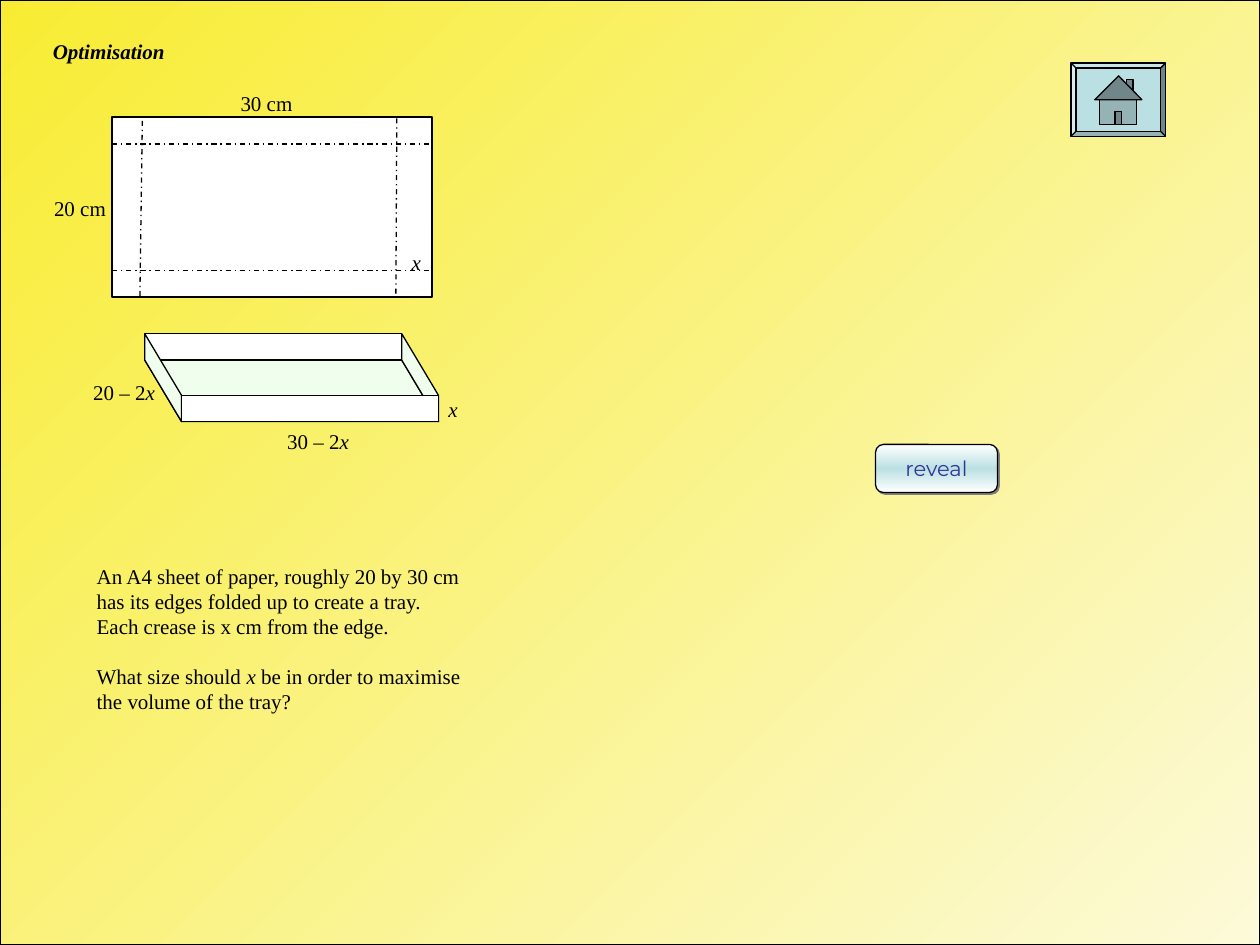
import pptx
import pptx.util
from lxml import etree
from pptx.dml.color import RGBColor
from pptx.enum.dml import MSO_LINE
from pptx.enum.shapes import MSO_CONNECTOR, MSO_SHAPE
from pptx.enum.text import MSO_ANCHOR, PP_ALIGN
from pptx.oxml.ns import qn

Cm, Pt = pptx.util.Cm, pptx.util.Pt
COLORS = {
    "ink": "000000", "paper": "FFFFFF", "mint": "F0FEED", "cream": "FCFAD9",
    "yellow": "F8EC32", "button": "BBE0E3", "dark": "708688", "mid": "95B3B5",
    "shadow": "808080", "navy": "333399",
}
C = {name: RGBColor.from_string(value) for name, value in COLORS.items()}


def add_shape(shapes, outline, fill, kind=MSO_SHAPE.RECTANGLE):
    """Add a preset from (x, y, w, h), or a polygon from a list of points, in cm."""
    if isinstance(outline, list):
        points = [(Cm(x), Cm(y)) for x, y in outline]
        builder = shapes.build_freeform(*points[0])
        builder.add_line_segments(points[1:], close=True)
        sp = builder.convert_to_shape()
    else:
        sp = shapes.add_shape(kind, *[Cm(v) for v in outline])
    sp.shadow.inherit = False
    sp.fill.solid()
    sp.fill.fore_color.rgb = C[fill]
    sp.line.color.rgb = C["ink"]
    sp.line.width = Pt(0.75)
    return sp


def write(p, runs, color="ink", **extra):
    """Fill a paragraph with runs; a run that is just "x" is italic."""
    for text in runs:
        r = p.add_run()
        r.text = text
        font = {"name": "Times New Roman", "size": Pt(12), "bold": False,
                "italic": text == "x", **extra}
        for key, value in font.items():
            setattr(r.font, key, value)
        r.font.color.rgb = C[color]


prs = pptx.Presentation()
prs.slide_width, prs.slide_height = Cm(25.4), Cm(19.05)
s = prs.slides.add_slide(prs.slide_layouts[5])

# Background, behind the title
bg = add_shape(s.shapes, (0, 0, 25.4, 19.05), "yellow")
bg.fill.gradient()
bg.fill.gradient_angle = 135
for stop, name in zip(bg.fill.gradient_stops, ("cream", "yellow")):
    stop.color.rgb = C[name]
title = s.shapes.title
title.element.addprevious(bg.element)

# Title
title.left, title.top, title.width, title.height = Cm(0.81), Cm(0.64), Cm(3.15), Cm(0.76)
tf = title.text_frame
tf.vertical_anchor, tf.word_wrap = MSO_ANCHOR.TOP, False
tf.paragraphs[0].alignment = PP_ALIGN.LEFT
write(tf.paragraphs[0], ["Optimisation"], bold=True, italic=True)

# Home button
home = s.shapes.add_group_shape().shapes
frame = add_shape(home, (21.59, 1.27, 1.91, 1.48), "button", MSO_SHAPE.BEVEL)
frame.adjustments[0] = 0.07
for outline, fill in (
    ((22.71, 1.6, 0.13, 0.3), "dark"),
    ((22.17, 2.01, 0.74, 0.5), "mid"),
    ([(22.55, 1.53), (23.02, 2.01), (22.07, 2.01)], "dark"),
    ((22.48, 2.25, 0.13, 0.26), "dark"),
):
    add_shape(home, outline, fill)

# Folded tray: back wall at x, y; the front wall is shifted by dx, dy
tray = s.shapes.add_group_shape().shapes
x, y, w, h, dx, dy = 2.92, 6.73, 5.18, 0.53, 0.74, 1.24
floor = [(x + dx, y + dy + h), (x, y + h), (x + w, y + h), (x + w + dx, y + dy + h)]
add_shape(tray, floor, "mint")
add_shape(tray, (x, y, w, h), "paper")
for side in (x, x + w):
    add_shape(tray, [(side + dx, y + dy), (side, y), (side, y + h),
                     (side + dx, y + dy + h)], "mint")
add_shape(tray, (x + dx, y + dy, w, h), "paper")

# Sheet with its crease lines
sheet = s.shapes.add_group_shape().shapes
add_shape(sheet, (2.26, 2.36, 6.45, 3.63), "paper")
for ends in (
    (2.26, 2.9, 8.71, 2.9), (2.26, 5.46, 8.71, 5.46),
    (2.82, 5.97, 2.87, 2.39), (7.98, 5.92, 8, 2.36),
):
    crease = sheet.add_connector(MSO_CONNECTOR.STRAIGHT, *[Cm(v) for v in ends])
    crease.line.color.rgb = C["ink"]
    crease.line.width = Pt(0.75)
    crease.line.dash_style = MSO_LINE.DASH_DOT
    etree.SubElement(crease.element.spPr, qn("a:effectLst"))

# Dimension labels
for shapes, left, top, width, runs in (
    (tray, 5.54, 8.51, 3.43, ["30 – 2", "x"]),
    (tray, 1.63, 7.52, 3.43, ["20 – 2", "x"]),
    (tray, 8.79, 7.87, 0.66, ["x"]),
    (sheet, 0.84, 3.81, 3.43, ["20 cm"]),
    (sheet, 4.6, 1.7, 3.43, ["30 cm"]),
    (sheet, 8.05, 4.9, 0.66, ["x"]),
):
    label = shapes.add_textbox(Cm(left), Cm(top), Cm(width), Cm(0.76))
    label.text_frame.word_wrap = True
    write(label.text_frame.paragraphs[0], runs)

# Question
tf = s.shapes.add_textbox(Cm(1.7), Cm(11.23), Cm(8.18), Cm(3.3)).text_frame
tf.word_wrap = True
for i, runs in enumerate((
    ["An A4 sheet of paper, roughly 20 by 30 cm"],
    ["has its edges folded up to create a tray."],
    ["Each crease is x cm from the edge."],
    ["What size should ", "x", " be in order to maximise the volume of the tray?"],
)):
    p = tf.add_paragraph() if i else tf.paragraphs[0]
    write(p, runs)
p.space_before = Pt(14)

# Reveal button
reveal = add_shape(s.shapes, (17.65, 8.96, 2.46, 0.97), "button",
                   MSO_SHAPE.ROUNDED_RECTANGLE)
reveal.adjustments[0] = 0.167
reveal.fill.gradient()
reveal.fill.gradient_angle = 270
for stop in reveal.fill.gradient_stops:
    stop.color.rgb = C["paper"]
first = reveal.element.spPr.find(".//" + qn("a:gs"))
middle = etree.fromstring(etree.tostring(first))
middle.set("pos", "50000")
middle.find(qn("a:srgbClr")).set("val", COLORS["button"])
first.addnext(middle)
effects = reveal.element.spPr.find(qn("a:effectLst"))
shadow = etree.SubElement(effects, qn("a:outerShdw"), dist=str(Pt(1.4)), dir="2700000",
                          algn="ctr", rotWithShape="0")
etree.SubElement(shadow, qn("a:srgbClr"), val=COLORS["shadow"])
tf = reveal.text_frame
tf.word_wrap, tf.vertical_anchor = False, MSO_ANCHOR.MIDDLE
tf.paragraphs[0].alignment = PP_ALIGN.CENTER
write(tf.paragraphs[0], ["reveal"], "navy", name="Montserrat")

prs.save("out.pptx")
